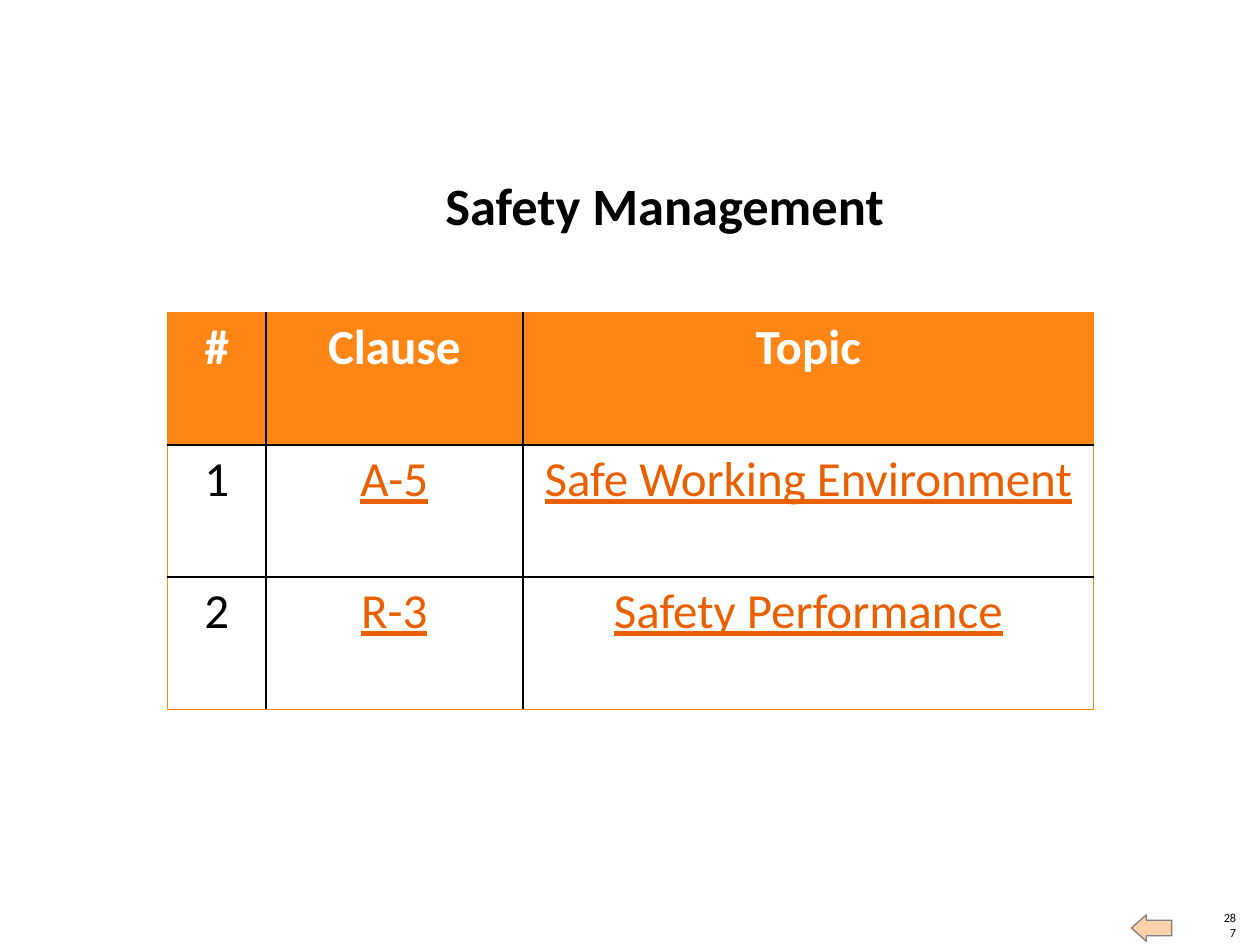
"""Build the Safety Management clause index slide."""
from dataclasses import dataclass

from lxml.etree import SubElement
from pptx import Presentation
from pptx.dml.color import RGBColor
from pptx.enum.shapes import MSO_SHAPE
from pptx.enum.text import MSO_ANCHOR, PP_ALIGN
from pptx.oxml import parse_xml
from pptx.oxml.ns import nsdecls, qn
from pptx.util import Inches, Pt

BLACK = RGBColor(0x00, 0x00, 0x00)
WHITE = RGBColor(0xFF, 0xFF, 0xFF)
ORANGE = RGBColor(0xFF, 0x86, 0x15)
LINK = RGBColor(0xEA, 0x5F, 0x00)
PEACH = RGBColor(0xFC, 0xD1, 0xAA)
GRAY = RGBColor(0x80, 0x80, 0x80)
FONT = "Calibri"


@dataclass(frozen=True)
class Style:
    size: float
    color: RGBColor
    bold: bool = False
    underline: bool = False


@dataclass(frozen=True)
class Clause:
    number: str
    code: str
    topic: str


TITLE = Style(30, BLACK, bold=True)
HEADER = Style(28, WHITE, bold=True)
NUMBER = Style(28, BLACK)
LINKED = Style(28, LINK, underline=True)
PAGE = Style(7, BLACK)

HEADINGS = Clause("#", "Clause", "Topic")
CLAUSES = [
    Clause("1", "A-5", "Safe Working Environment"),
    Clause("2", "R-3", "Safety Performance"),
]
COL_WIDTHS = [0.78, 2.04, 4.53]
ROW_HEIGHT = 1.05


def write(tf, text: str, style: Style, align=PP_ALIGN.CENTER) -> None:
    tf.text = text
    p = tf.paragraphs[0]
    p.alignment = align
    font = p.runs[0].font
    font.name, font.size = FONT, Pt(style.size)
    font.bold, font.underline = style.bold, style.underline
    font.color.rgb = style.color


def set_frame(tf) -> None:
    tf.margin_left = tf.margin_right = tf.margin_top = tf.margin_bottom = 0
    tf.vertical_anchor = MSO_ANCHOR.BOTTOM
    tf.word_wrap = True


def set_borders(cell, outer: dict[str, bool]) -> None:
    tc_pr = cell._tc.get_or_add_tcPr()
    for i, (side, is_outer) in enumerate(outer.items()):
        width, color = (0.75, ORANGE) if is_outer else (1, BLACK)
        ln = parse_xml(f'<a:ln{side} {nsdecls("a")} w="{Pt(width)}"/>')
        fill = SubElement(ln, qn("a:solidFill"))
        SubElement(fill, qn("a:srgbClr"), val=str(color))
        tc_pr.insert(i, ln)


def add_clause_table(slide, clauses: list[Clause]) -> None:
    rows = [HEADINGS, *clauses]
    last_row, last_col = len(rows) - 1, len(COL_WIDTHS) - 1
    table = slide.shapes.add_table(
        len(rows), len(COL_WIDTHS), Inches(1.33), Inches(2.48),
        Inches(sum(COL_WIDTHS)), Inches(ROW_HEIGHT * len(rows))).table
    for col, width in zip(table.columns, COL_WIDTHS):
        col.width = Inches(width)
    for r, clause in enumerate(rows):
        table.rows[r].height = Inches(ROW_HEIGHT)
        for c, text in enumerate((clause.number, clause.code, clause.topic)):
            cell = table.cell(r, c)
            cell.margin_left = cell.margin_right = Inches(0.07)
            cell.margin_top = cell.margin_bottom = Inches(0.04)
            if r == 0:
                cell.fill.solid()
                cell.fill.fore_color.rgb = ORANGE
            else:
                cell.fill.background()
            body = NUMBER if c == 0 else LINKED
            write(cell.text_frame, text, HEADER if r == 0 else body)
            set_borders(cell, {"L": c == 0, "R": c == last_col,
                               "T": r == 0, "B": r == last_row})


def add_page_number(slide, text: str) -> None:
    tf = slide.shapes.add_textbox(
        Inches(9.69), Inches(7.22), Inches(0.12), Inches(0.24)).text_frame
    set_frame(tf)
    write(tf, text, PAGE, PP_ALIGN.RIGHT)


def add_back_arrow(slide) -> None:
    sp = slide.shapes.add_shape(
        MSO_SHAPE.RIGHT_ARROW, Inches(8.98), Inches(7.26), Inches(0.32), Inches(0.21))
    sp.rotation = 180
    sp.adjustments[0], sp.adjustments[1] = 0.59, 0.56
    sp.shadow.inherit = False
    sp.fill.solid()
    sp.fill.fore_color.rgb = PEACH
    sp.line.color.rgb = GRAY
    sp.line.width = Pt(0.75)


def add_title(slide, text: str) -> None:
    title = slide.shapes.title
    title.left, title.top = Inches(2.49), Inches(1.37)
    title.width, title.height = Inches(5.57), Inches(0.5)
    set_frame(title.text_frame)
    write(title.text_frame, text, TITLE)


def main() -> None:
    prs = Presentation()
    prs.slide_width, prs.slide_height = Inches(10), Inches(7.5)
    slide = prs.slides.add_slide(prs.slide_layouts[5])
    add_page_number(slide, "287")
    add_back_arrow(slide)
    add_clause_table(slide, CLAUSES)
    add_title(slide, "Safety Management")
    prs.save("out.pptx")


if __name__ == "__main__":
    main()
